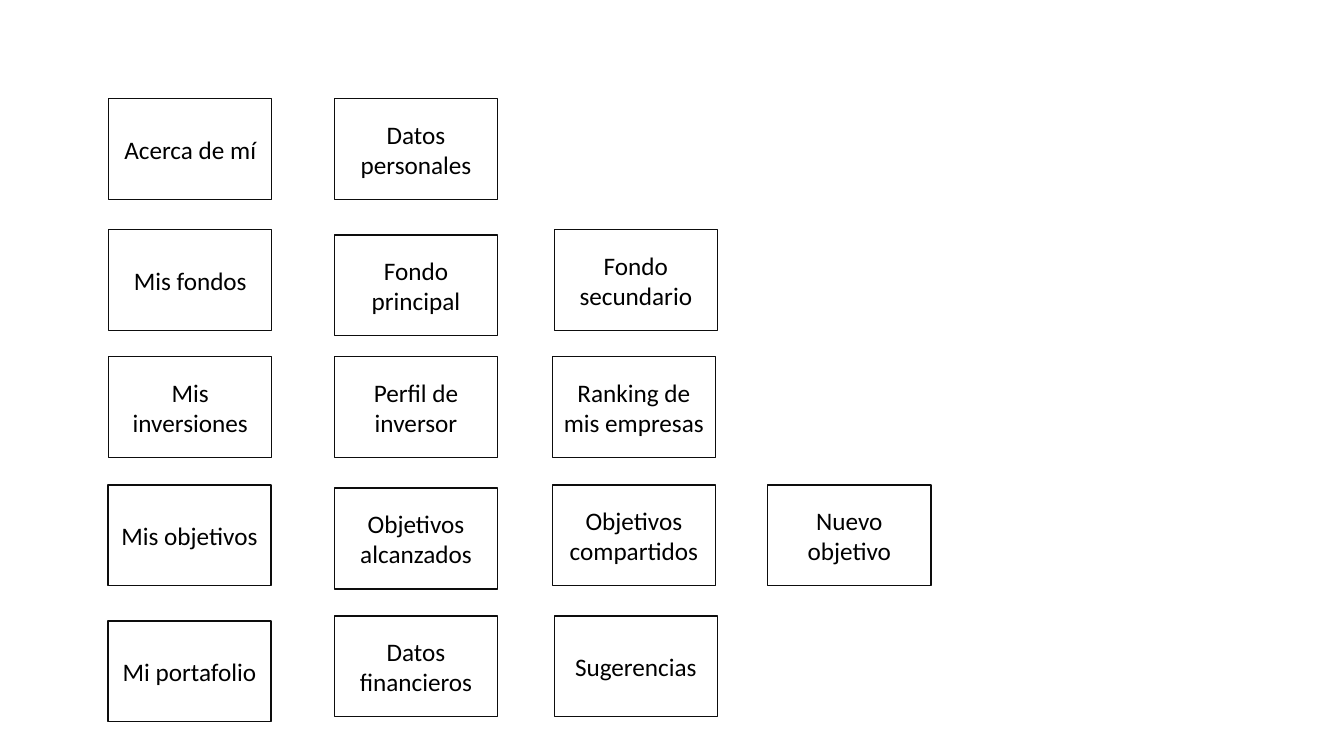
from pptx import Presentation
from pptx.dml.color import RGBColor
from pptx.enum.shapes import MSO_SHAPE
from pptx.enum.text import MSO_ANCHOR, PP_ALIGN
from pptx.util import Cm, Pt

BOX_WIDTH, BOX_HEIGHT = 4.11, 2.54
COLUMN_LEFTS = [2.74, 8.43, 13.94, 19.35]

# Each row: top in cm, then (label, left shift, top shift) per column
MENU_ROWS = [
    (2.49, [("Acerca de mí", 0, 0), ("Datos personales", 0, 0)]),
    (5.79, [("Mis fondos", 0, 0), ("Fondo principal", 0, 0.13),
            ("Fondo secundario", 0.03, 0)]),
    (8.99, [("Mis inversiones", 0, 0), ("Perfil de inversor", 0, 0),
            ("Ranking de mis empresas", -0.02, 0)]),
    (12.22, [("Mis objetivos", -0.02, 0), ("Objetivos alcanzados", 0, 0.08),
             ("Objetivos compartidos", -0.02, 0), ("Nuevo objetivo", 0, 0)]),
    (15.52, [("Mi portafolio", -0.02, 0.13), ("Datos financieros", 0, 0),
             ("Sugerencias", 0.03, 0)]),
]


def color(hex_value):
    return RGBColor.from_string(hex_value)


def add_menu_box(slide, label, left, top):
    shape = slide.shapes.add_shape(
        MSO_SHAPE.RECTANGLE, Cm(left), Cm(top), Cm(BOX_WIDTH), Cm(BOX_HEIGHT))
    shape.shadow.inherit = False
    shape.fill.background()
    shape.line.color.rgb = color("0D0D0D")
    shape.line.width = Pt(1)

    # Centred label
    text_frame = shape.text_frame
    text_frame.word_wrap = True
    text_frame.vertical_anchor = MSO_ANCHOR.MIDDLE
    paragraph = text_frame.paragraphs[0]
    paragraph.alignment = PP_ALIGN.CENTER
    run = paragraph.add_run()
    run.text = label
    for name, value in {"name": "Calibri", "size": Pt(18)}.items():
        setattr(run.font, name, value)
    run.font.color.rgb = color("000000")


def add_menu_row(slide, top, entries):
    for column_left, (label, left_shift, top_shift) in zip(COLUMN_LEFTS, entries):
        add_menu_box(slide, label, column_left + left_shift, top + top_shift)


def main():
    presentation = Presentation()
    presentation.slide_width = Cm(33.87)
    presentation.slide_height = Cm(19.05)
    # Blank layout: the slide has no title
    slide = presentation.slides.add_slide(presentation.slide_layouts[6])
    for top, entries in MENU_ROWS:
        add_menu_row(slide, top, entries)
    presentation.save("out.pptx")


if __name__ == "__main__":
    main()
